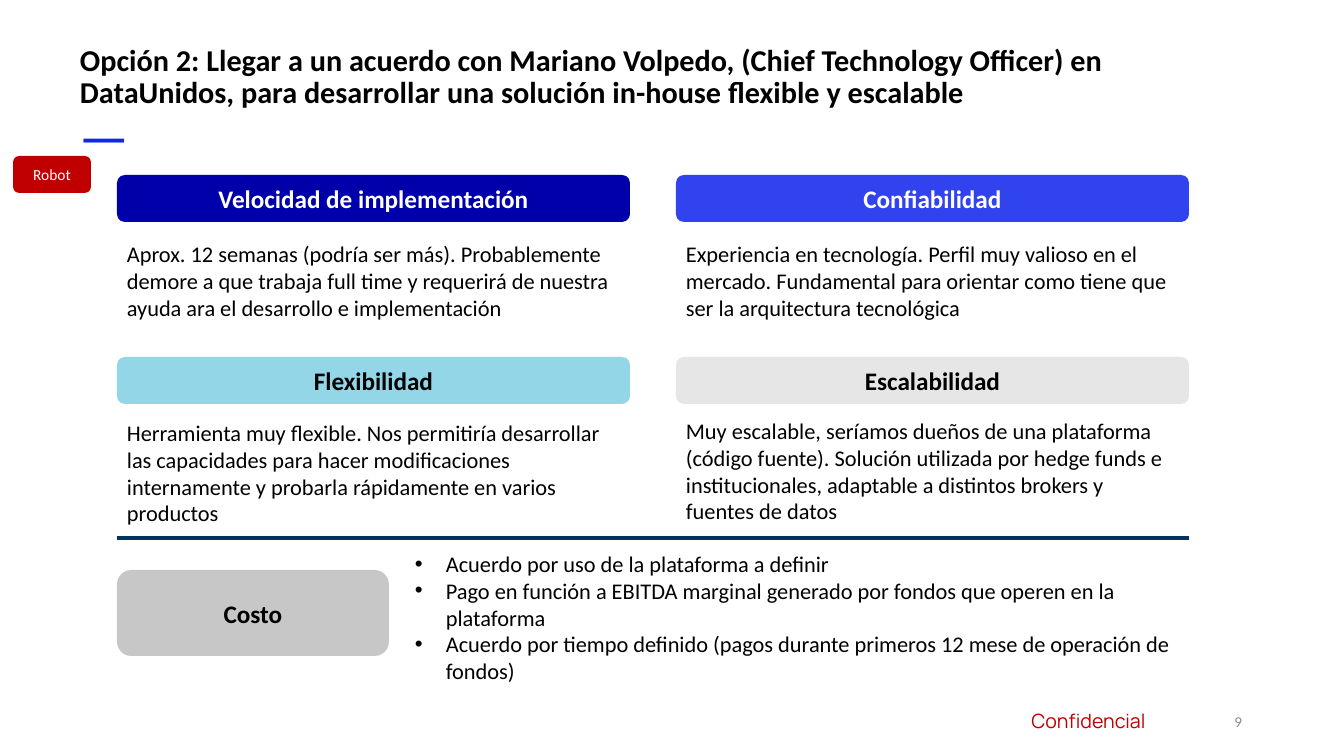
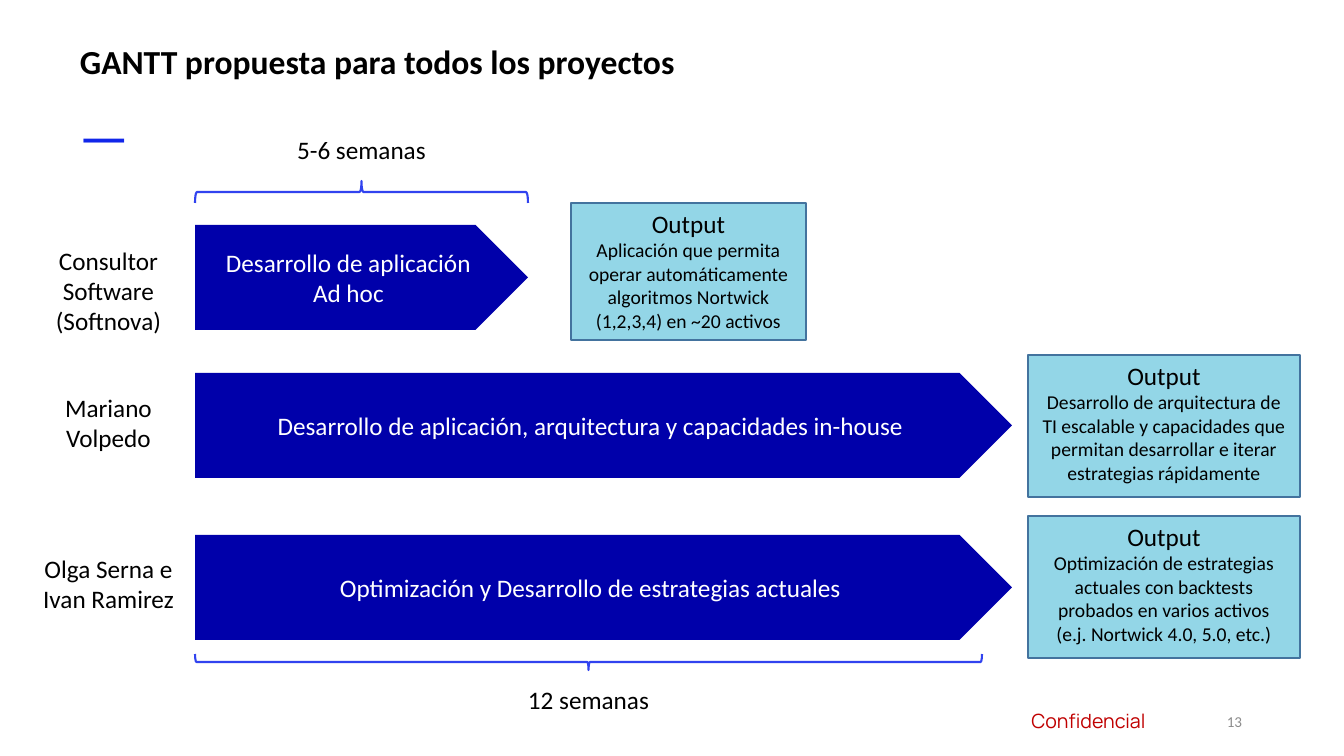
from dataclasses import dataclass, replace

from lxml.etree import SubElement
from pptx import Presentation
from pptx.dml.color import RGBColor
from pptx.enum.shapes import MSO_CONNECTOR, MSO_SHAPE
from pptx.enum.text import MSO_ANCHOR, PP_ALIGN
from pptx.oxml.ns import qn
from pptx.util import Pt

PX = 914400 / 100.8  # EMU per pixel


def px(n: float) -> int:
    return round(n * PX)


@dataclass(frozen=True)
class Theme:
    font: str = "Calibri"
    accent_font: str = "Manrope"
    black: str = "000000"
    white: str = "FFFFFF"
    navy: str = "0000AA"
    blue: str = "3143EF"
    dash: str = "1126EA"
    sky: str = "93D6E7"
    pale: str = "E6E6E6"
    grey: str = "C7C7C7"
    red: str = "C00000"
    rule: str = "00335D"
    edge: str = "43739E"
    muted: str = "8C8C8C"
    title: float = 24
    title_small: float = 21.6
    dash_size: float = 44
    head: float = 18
    body: float = 16
    note: float = 14
    tag: float = 11
    number: float = 10.8


T = Theme()


@dataclass(frozen=True)
class Box:
    x: int
    y: int
    w: int
    h: int

    def emu(self) -> tuple[int, ...]:
        return tuple(px(n) for n in (self.x, self.y, self.w, self.h))


@dataclass(frozen=True)
class Style:
    size: float = T.body
    color: str = T.black
    bold: bool = False
    font: str = T.font
    align: PP_ALIGN = PP_ALIGN.LEFT
    anchor: MSO_ANCHOR = MSO_ANCHOR.TOP
    spacing: float = 1.0
    bullet: bool = False


BODY = Style()
LABEL = Style(T.head, align=PP_ALIGN.CENTER)
HEAD = replace(LABEL, bold=True, anchor=MSO_ANCHOR.MIDDLE)
PLATE = replace(LABEL, color=T.white, anchor=MSO_ANCHOR.MIDDLE)
TAG = replace(PLATE, size=T.tag)
TITLE = Style(T.title, bold=True, spacing=0.9)
DASH = Style(T.dash_size, T.dash, font=T.accent_font, spacing=0.9)
FOOTER = Style(T.note, T.red, font=T.accent_font, align=PP_ALIGN.CENTER)
NUMBER = Style(T.number, T.muted, align=PP_ALIGN.RIGHT, anchor=MSO_ANCHOR.MIDDLE)


@dataclass(frozen=True)
class Criterion:
    col: int
    row: int
    head: str
    fill: str
    ink: str
    body_y: int
    body_h: int
    body: str


@dataclass(frozen=True)
class Stage:
    y: int
    w: int
    task: list[str]
    label_y: int
    label_h: int
    owner: list[str]
    output_box: Box
    output: list[str]


@dataclass(frozen=True)
class Brace:
    box: Box
    rotation: int
    label_y: int
    label: str


# Drawing helpers
def write(sp, lines: list[str], st: Style, small: float | None = None) -> None:
    """Write paragraphs; those after the first take the small size if given."""
    tf = sp.text_frame
    for k, v in {"word_wrap": True, "vertical_anchor": st.anchor}.items():
        setattr(tf, k, v)
    for i, line in enumerate(lines):
        p = tf.add_paragraph() if i else tf.paragraphs[0]
        for k, v in {"alignment": st.align, "line_spacing": st.spacing}.items():
            setattr(p, k, v)
        r = p.add_run()
        r.text = line
        size = small if i and small else st.size
        for k, v in {"name": st.font, "size": Pt(size), "bold": st.bold}.items():
            setattr(r.font, k, v)
        r.font.color.rgb = RGBColor.from_string(st.color)
        if st.bullet:
            pPr = p._p.get_or_add_pPr()
            pPr.set("marL", str(px(31)))
            pPr.set("indent", str(-px(31)))
            SubElement(pPr, qn("a:buFont")).set("typeface", "Arial")
            SubElement(pPr, qn("a:buChar")).set("char", "•")


def add_text(s, box: Box, lines: list[str], st: Style) -> None:
    write(s.shapes.add_textbox(*box.emu()), lines, st)


def add_shape(s, kind: MSO_SHAPE, box: Box, fill: str | None = None,
              line: str | None = None, line_pt: float = 1):
    sp = s.shapes.add_shape(kind, *box.emu())
    sp.shadow.inherit = False
    if fill:
        sp.fill.solid()
        sp.fill.fore_color.rgb = RGBColor.from_string(fill)
    else:
        sp.fill.background()
    if line:
        sp.line.color.rgb = RGBColor.from_string(line)
        sp.line.width = Pt(line_pt)
    else:
        sp.line.fill.background()
    return sp


def add_rule(s, x1: int, x2: int, y: int) -> None:
    c = s.shapes.add_connector(MSO_CONNECTOR.STRAIGHT, px(x1), px(y), px(x2), px(y))
    c.line.color.rgb = RGBColor.from_string(T.rule)
    c.line.width = Pt(2.25)
    SubElement(c._element.spPr, qn("a:effectLst"))


def add_brace(s, b: Brace) -> None:
    # The shape is upright before it turns about its centre
    v = b.box
    shift = (v.w - v.h) / 2
    upright = Box(v.x + shift, v.y - shift, v.h, v.w)
    sp = add_shape(s, MSO_SHAPE.RIGHT_BRACE, upright, line=T.blue, line_pt=1.5)
    sp.rotation = b.rotation
    label_w = 187
    add_text(s, Box(v.x + (v.w - label_w) / 2, b.label_y, label_w, 40), [b.label], LABEL)


def new_slide(prs, title: str, size: float, number: int):
    s = prs.slides.add_slide(prs.slide_layouts[6])
    add_text(s, Box(70, 102, 55, 21), ["—"], DASH)
    add_text(s, Box(1020, 704, 137, 34), ["Confidencial"], FOOTER)
    add_text(s, Box(70, 40, 1138, 83), [title], replace(TITLE, size=size))
    add_text(s, Box(1164, 701, 88, 40), [str(number)], NUMBER)
    return s


# Slide contents
CRITERIA = [
    Criterion(0, 0, "Velocidad de implementación", T.navy, T.white, 235, 92,
              "Aprox. 12 semanas (podría ser más). Probablemente demore a que trabaja "
              "full time y requerirá de nuestra ayuda ara el desarrollo e implementación"),
    Criterion(1, 0, "Confiabilidad", T.blue, T.white, 235, 92,
              "Experiencia en tecnología. Perfil muy valioso en el mercado. Fundamental "
              "para orientar como tiene que ser la arquitectura tecnológica"),
    Criterion(0, 1, "Flexibilidad", T.sky, T.black, 414, 119,
              "Herramienta muy flexible. Nos permitiría desarrollar las capacidades para "
              "hacer modificaciones internamente y probarla rápidamente en varios productos"),
    Criterion(1, 1, "Escalabilidad", T.pale, T.black, 412, 119,
              "Muy escalable, seríamos dueños de una plataforma (código fuente). Solución "
              "utilizada por hedge funds e institucionales, adaptable a distintos brokers "
              "y fuentes de datos"),
]
COSTS = [
    "Acuerdo por uso de la plataforma a definir",
    "Pago en función a EBITDA marginal generado por fondos que operen en la plataforma",
    "Acuerdo por tiempo definido (pagos durante primeros 12 mese de operación de fondos)",
]
STAGES = [
    Stage(225, 333, ["Desarrollo de aplicación", "Ad hoc"],
          240, 102, ["Consultor Software", "(Softnova)"], Box(571, 203, 235, 137),
          ["Aplicación que permita operar automáticamente algoritmos Nortwick "
           "(1,2,3,4) en ~20 activos"]),
    Stage(373, 817, ["Desarrollo de aplicación, arquitectura y capacidades in-house"],
          387, 72, ["Mariano Volpedo"], Box(1028, 355, 272, 142),
          ["Desarrollo de arquitectura de TI escalable y capacidades que permitan "
           "desarrollar e iterar estrategias rápidamente"]),
    Stage(535, 817, ["Optimización y Desarrollo de estrategias actuales"],
          548, 72, ["Olga Serna e Ivan Ramirez"], Box(1028, 516, 272, 142),
          ["Optimización de estrategias actuales con backtests probados en varios activos",
           "(e.j. Nortwick 4.0, 5.0, etc.)"]),
]
BRACES = [
    Brace(Box(195, 181, 333, 22), 270, 129, "5-6 semanas"),
    Brace(Box(195, 654, 787, 16), 90, 679, "12 semanas"),
]


def build_option(prs) -> None:
    s = new_slide(prs, "Opción 2: Llegar a un acuerdo con Mariano Volpedo, (Chief Technology "
                  "Officer) en DataUnidos, para desarrollar una solución in-house flexible "
                  "y escalable", T.title_small, 9)
    left, top, width, col_step, row_step = 117, 175, 513, 559, 182

    # Criteria grid
    for c in CRITERIA:
        x = left + c.col * col_step
        box = Box(x, top + c.row * row_step, width, 47)
        sp = add_shape(s, MSO_SHAPE.ROUNDED_RECTANGLE, box, c.fill)
        write(sp, [c.head], replace(HEAD, color=c.ink))
        add_text(s, Box(x, c.body_y, width - 10, c.body_h), [c.body], BODY)

    # Cost band
    add_rule(s, left, left + col_step + width, 538)
    sp = add_shape(s, MSO_SHAPE.ROUNDED_RECTANGLE, Box(left, 570, 272, 86), T.grey)
    write(sp, ["Costo"], HEAD)
    add_text(s, Box(405, 545, 785, 146), COSTS, replace(BODY, bullet=True))

    # Side tag
    sp = add_shape(s, MSO_SHAPE.ROUNDED_RECTANGLE, Box(13, 156, 78, 37), T.red)
    write(sp, ["Robot"], TAG)


def build_gantt(prs) -> None:
    s = new_slide(prs, "GANTT propuesta para todos los proyectos", T.title, 13)

    # Owner, task and output of each stage
    for g in STAGES:
        sp = add_shape(s, MSO_SHAPE.PENTAGON, Box(195, g.y, g.w, 105), T.navy)
        write(sp, g.task, PLATE)
        add_text(s, Box(15, g.label_y, 187, g.label_h), g.owner, LABEL)
        sp = add_shape(s, MSO_SHAPE.RECTANGLE, g.output_box, T.sky, T.edge)
        write(sp, ["Output", *g.output], LABEL, small=T.note)

    # Durations
    for b in BRACES:
        add_brace(s, b)


def main() -> None:
    prs = Presentation()
    for k, v in {"slide_width": px(1344), "slide_height": px(756)}.items():
        setattr(prs, k, v)
    build_option(prs)
    build_gantt(prs)
    prs.save("out.pptx")


if __name__ == "__main__":
    main()
